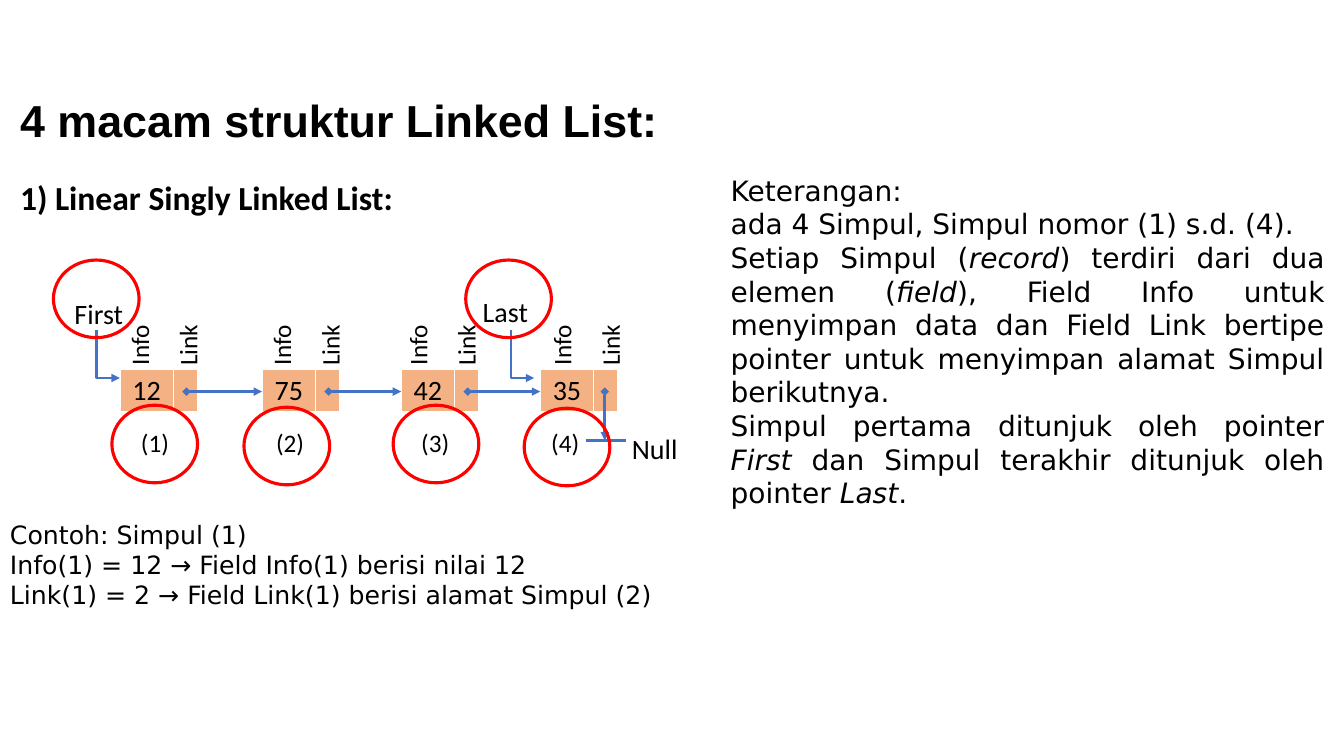
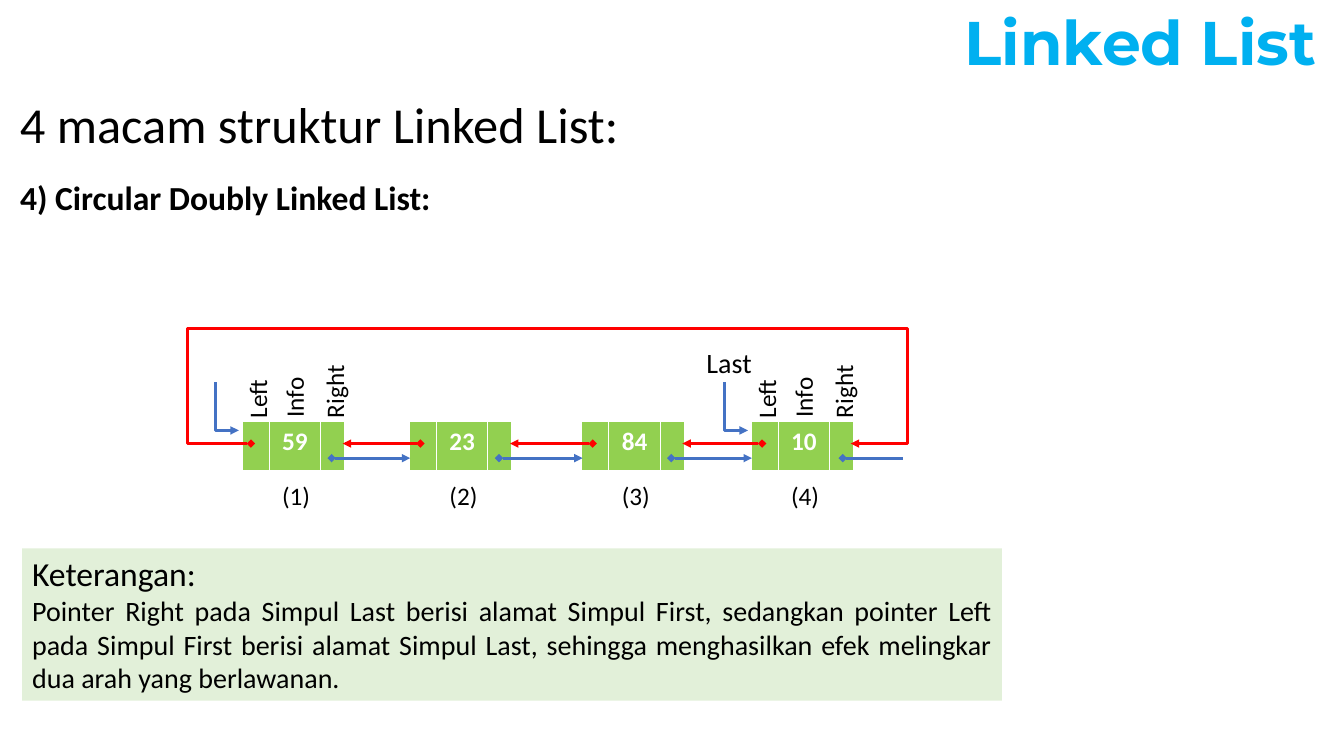
import lxml.etree
import pptx
import pptx.dml.color
import pptx.enum.shapes
import pptx.enum.text
import pptx.oxml.ns
import pptx.util

COLORS = {"text": "000000", "white": "FFFFFF", "arrow": "4472C4", "red": "FF0000",
          "title": "00B0F0", "orange": "F4B183", "green": "92D050", "note": "E2F0D9"}
ALIGN = pptx.enum.text.PP_ALIGN
ANCHOR = pptx.enum.text.MSO_ANCHOR
SHAPE = pptx.enum.shapes.MSO_SHAPE
CONNECTOR = pptx.enum.shapes.MSO_CONNECTOR
CELLS_PER_INCH = 10  # the slide is a grid of 133.3 columns by 75 rows
LABEL_WIDTHS = {"Info": 6, "Link": 6.1, "Left": 5.9, "Right": 7.3}


def grid(*lengths):
    return [pptx.util.Inches(length / CELLS_PER_INCH) for length in lengths]


def rgb(name):
    return pptx.dml.color.RGBColor.from_string(COLORS[name])


def add_xml(parent, tag, **attributes):
    return lxml.etree.SubElement(parent, pptx.oxml.ns.qn(tag), attributes)


def write_text(frame, text, size=20, lead_size=None, font="Calibri", color="text",
               bold=False, align=ALIGN.LEFT, line_spacing=None):
    """Write one paragraph per line; text between underscores is italic."""
    for index, line in enumerate(text.split("\n")):
        paragraph = frame.add_paragraph() if index else frame.paragraphs[0]
        paragraph.alignment = align
        if line_spacing:
            paragraph.line_spacing = line_spacing
        points = lead_size if lead_size and index == 0 else size
        for part, piece in enumerate(line.split("_")):
            run = paragraph.add_run()
            run.text = piece
            run.font.size = pptx.util.Pt(points)
            run.font.name = font
            run.font.bold = bold
            run.font.italic = part % 2 == 1
            run.font.color.rgb = rgb(color)


def add_text(slide, box, text, wrap=False, rotation=0, **text_format):
    shape = slide.shapes.add_textbox(*grid(*box))
    shape.rotation = rotation
    shape.text_frame.word_wrap = wrap
    shape.text_frame.auto_size = pptx.enum.text.MSO_AUTO_SIZE.SHAPE_TO_FIT_TEXT
    write_text(shape.text_frame, text, **text_format)


def set_title(slide, box, text, anchor, **text_format):
    title = slide.shapes.title
    title.left, title.top, title.width, title.height = grid(*box)
    title.text_frame.word_wrap = True
    title.text_frame.auto_size = pptx.enum.text.MSO_AUTO_SIZE.NONE
    title.text_frame.vertical_anchor = anchor
    write_text(title.text_frame, text, bold=True, **text_format)


def add_subtitle(slide, text):
    add_text(slide, (1, 17.1, 53.9, 5), text, wrap=True, size=24, bold=True)


def add_shape(slide, kind, box, fill=None, line=None):
    shape = slide.shapes.add_shape(kind, *grid(*box))
    shape.shadow.inherit = False
    if fill:
        shape.fill.solid()
        shape.fill.fore_color.rgb = rgb(fill)
    else:
        shape.fill.background()
    if line:
        shape.line.color.rgb = rgb(line)
        shape.line.width = pptx.util.Pt(2.25)
    else:
        shape.line.fill.background()
    return shape


def add_ring(slide, left, top):
    add_shape(slide, SHAPE.OVAL, (left, top, 8.5, 7.7), line="red")


def add_line(slide, start, end, color="arrow", head=None, tail=None, kind=CONNECTOR.STRAIGHT):
    connector = slide.shapes.add_connector(kind, *grid(*start, *end))
    connector.line.color.rgb = rgb(color)
    connector.line.width = pptx.util.Pt(2)
    line = connector.line._get_or_add_ln()
    if head:
        add_xml(line, "a:headEnd", type=head)
    if tail:
        add_xml(line, "a:tailEnd", type=tail)
    add_xml(connector._element.spPr, "a:effectLst")
    return connector


def add_link(slide, start, end, color="arrow"):
    add_line(slide, start, end, color, head="diamond", tail="triangle")


def add_pointer(slide, left, top, width=2.3, height=4.8):
    """Draw an arrow that goes down, then right, inside the given box."""
    center, middle = left + width / 2, top + height / 2
    connector = add_line(slide, (center + height / 2, middle - width / 2),
                         (center - height / 2, middle + width / 2),
                         tail="triangle", kind=CONNECTOR.ELBOW)
    properties = connector._element.spPr
    properties.find(pptx.oxml.ns.qn("a:xfrm")).set("rot", str(270 * 60000))
    properties.find(pptx.oxml.ns.qn("a:prstGeom")).set("prst", "bentConnector2")


def add_node(slide, left, top, widths, height, values, fill, **text_format):
    frame = slide.shapes.add_table(1, len(widths), *grid(left, top, sum(widths), height))
    table = frame.table
    table.first_row = table.horz_banding = False
    table.rows[0].height = grid(height)[0]
    for column, (width, value) in enumerate(zip(widths, values)):
        table.columns[column].width = grid(width)[0]
        cell = table.cell(0, column)
        if value:
            write_text(cell.text_frame, value, align=ALIGN.CENTER, **text_format)
        properties = cell._tc.get_or_add_tcPr()
        for side, points in (("L", 1), ("R", 1), ("T", 1), ("B", 3)):
            border = add_xml(properties, f"a:ln{side}", w=str(pptx.util.Pt(points)))
            add_xml(add_xml(border, "a:solidFill"), "a:srgbClr", val=COLORS["white"])
        cell.fill.solid()
        cell.fill.fore_color.rgb = rgb(fill)


def add_field_label(slide, center, middle, text):
    width = LABEL_WIDTHS[text]
    add_text(slide, (center - width / 2, middle - 2, width, 4), text, rotation=270, size=18)


def add_node_number(slide, left, top, number):
    add_text(slide, (left, top, 4.8, 4), f"({number})", size=18)


def add_singly_diagram(slide, left, top):
    node_top = top + 10.8
    link_row = node_top + 2.25
    # value, node, label shift, number, ring left, ring top
    nodes = [("12", 6.6, 0, 7.7, 5.8, 14.4), ("75", 20.7, 0, 21.1, 18.9, 14.6),
             ("42", 34.5, -0.3, 35.5, 33.7, 14.4), ("35", 48.3, 0.2, 48.4, 46.7, 14.7)]
    for number, (value, node, shift, number_left, *_) in enumerate(nodes, 1):
        node_left = left + node
        add_node(slide, node_left, node_top, (5.3, 2.3), 4.1, (value, ""), "orange")
        for text, offset in (("Info", 1.9), ("Link", 6.7)):
            add_field_label(slide, node_left + offset + shift, node_top - 2.4, text)
        add_node_number(slide, left + number_left, top + 16.1, number)
    for source, target in zip(nodes, nodes[1:]):
        add_link(slide, (left + source[1] + 6.6, link_row), (left + target[1], link_row))

    null_row = top + 17.9
    last_link = left + nodes[-1][1] + 6.4
    add_link(slide, (last_link, link_row), (last_link, null_row))
    add_line(slide, (last_link - 1.9, null_row), (last_link + 2.1, null_row))
    add_text(slide, (left + 56.4, top + 16.5, 6.6, 4.4), "Null")

    for text, width, text_left, text_top, arrow, ring in (
            ("First", 6.9, 1.1, 3.1, 4.3, 0), ("Last", 6.6, 41.6, 2.9, 45.4, 40.9)):
        add_text(slide, (left + text_left, top + text_top, width, 4.4), text)
        add_pointer(slide, left + arrow, top + 6.9)
        add_ring(slide, left + ring, top)
    for *_, ring_left, ring_top in nodes:
        add_ring(slide, left + ring_left, top + ring_top)


def add_doubly_diagram(slide, left, top, width, height):
    """Draw the ring of nodes; the red frame fills the given box."""
    node_top = top + 9.2
    left_row, right_row = top + height, top + 12.85
    nodes = [("59", left + 5.4), ("23", left + 22), ("84", left + 39.1), ("10", left + 55.9)]
    add_shape(slide, SHAPE.RECTANGLE, (left, top, width, height), line="red")
    for number, (value, node_left) in enumerate(nodes, 1):
        add_node(slide, node_left, node_top, (2.7, 5.1, 2.3), 5, ("", value, ""), "green",
                 size=18, color="white", bold=True)
        add_node_number(slide, node_left + 3, top + 14.6, number)
    for (_, source), (_, target) in zip(nodes, nodes[1:]):
        add_link(slide, (source + 8.9, right_row), (target + 0.1, right_row))
        add_link(slide, (target + 1.1, left_row), (source + 10, left_row), "red")

    first, last = nodes[0][1], nodes[-1][1]
    right = left + width
    add_line(slide, (last + 9.1, right_row), (right - 0.4, right_row), head="diamond")
    add_line(slide, (right, left_row), (last + 9.9, left_row), "red", tail="triangle")
    add_line(slide, (first + 0.9, left_row), (left + 0.8, left_row), "red", head="diamond")
    for node_left in (first, last):
        add_pointer(slide, node_left - 2.6, top + 5.3)
        for text, offset, rise in (("Left", 1.5, 2.3), ("Info", 5.15, 2.4), ("Right", 9.15, 3)):
            add_field_label(slide, node_left + offset, node_top - rise, text)
    add_text(slide, (last - 5.4, top + 1.2, 6.6, 4.4), "Last")


def build_singly_slide(slide):
    set_title(slide, (1, 8.7, 85.4, 6.4), "4 macam struktur Linked List:", ANCHOR.TOP,
              size=32, font="Arial")
    add_subtitle(slide, "1) Linear Singly Linked List:")
    add_text(slide, (71.5, 16.7, 60.9, 34.7),
             "Keterangan:\n"
             "ada 4 Simpul, Simpul nomor (1) s.d. (4).\n"
             "Setiap Simpul (_record_) terdiri dari dua elemen (_field_), Field Info untuk "
             "menyimpan data dan Field Link bertipe pointer untuk menyimpan alamat Simpul "
             "berikutnya.\n"
             "Simpul pertama ditunjuk oleh pointer _First_ dan Simpul terakhir ditunjuk oleh "
             "pointer _Last_.",
             wrap=True, font="DejaVu Sans", align=ALIGN.JUSTIFY)
    add_singly_diagram(slide, 5.3, 25.8)
    add_text(slide, (0, 51, 75.8, 10.1),
             "Contoh: Simpul (1)\n"
             "Info(1) = 12 → Field Info(1) berisi nilai 12\n"
             "Link(1) = 2 → Field Link(1) berisi alamat Simpul (2)",
             wrap=True, size=18, font="DejaVu Sans")


def build_doubly_slide(slide):
    set_title(slide, (0, -0.3, 131.6, 9.6), "Linked List", ANCHOR.MIDDLE, size=44,
              font="Montserrat", color="title", align=ALIGN.RIGHT, line_spacing=0.9)
    add_text(slide, (1, 8.7, 85.4, 7.1), "4 macam struktur Linked List:", wrap=True, size=36)
    add_subtitle(slide, "4) Circular Doubly Linked List:")
    note = add_shape(slide, SHAPE.RECTANGLE, (2.2, 54.4, 97.2, 15.1), fill="note")
    note.text_frame.word_wrap = True
    note.text_frame.vertical_anchor = ANCHOR.TOP
    write_text(note.text_frame,
               "Keterangan:\n"
               "Pointer Right pada Simpul Last berisi alamat Simpul First, sedangkan pointer "
               "Left pada Simpul First berisi alamat Simpul Last, sehingga menghasilkan efek "
               "melingkar dua arah yang berlawanan.",
               lead_size=24, align=ALIGN.JUSTIFY)
    add_doubly_diagram(slide, 18.6, 32.6, 71.4, 11.4)


def main():
    presentation = pptx.Presentation()
    presentation.slide_width, presentation.slide_height = grid(133.33, 75)
    title_only = presentation.slide_layouts[5]
    for build in (build_singly_slide, build_doubly_slide):
        build(presentation.slides.add_slide(title_only))
    presentation.save("out.pptx")


if __name__ == "__main__":
    main()
